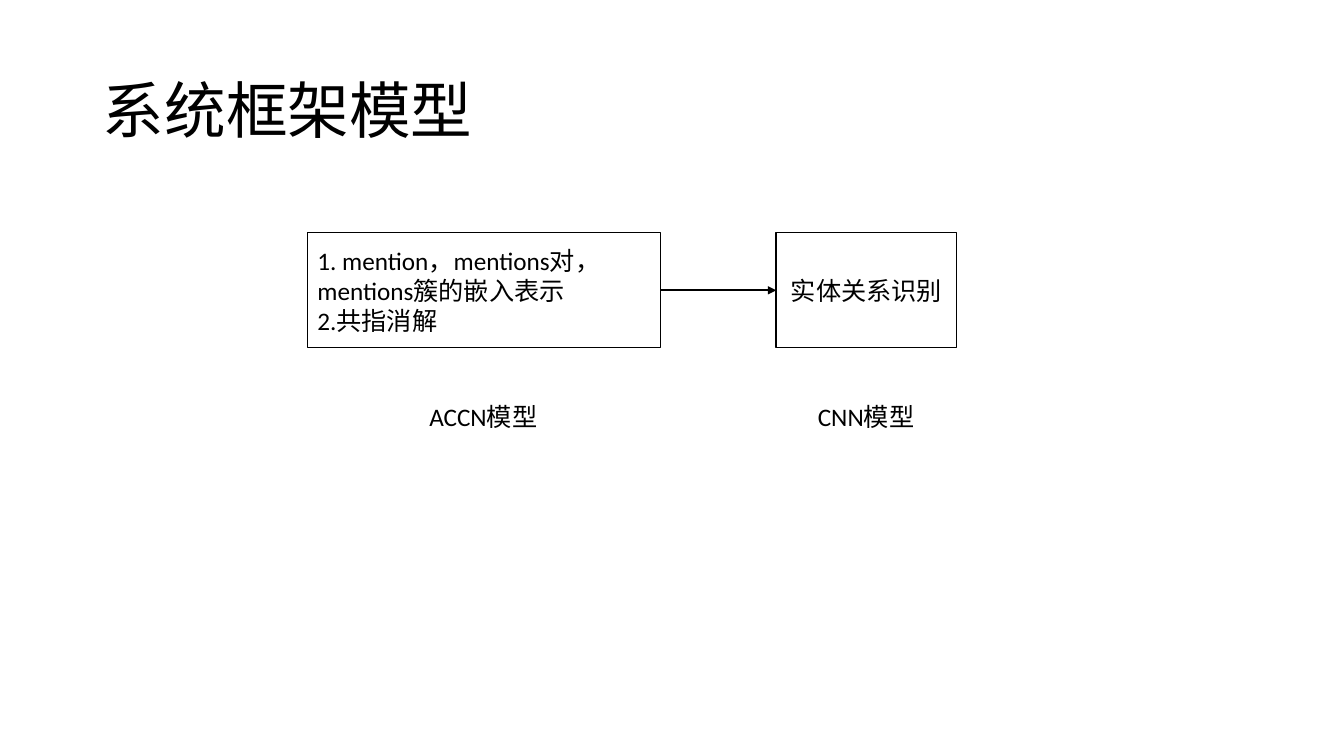
from pptx import Presentation
from pptx import util as u
from pptx.dml.color import RGBColor
from pptx.enum import shapes, text
from pptx.oxml.ns import qn
from lxml import etree

BLACK = RGBColor(0x00, 0x00, 0x00)
WHITE = RGBColor(0xFF, 0xFF, 0xFF)


class Sketch:
    """Style and current slide; lengths are percentages of the slide's size."""

    font = "Calibri"
    body_size = 18
    title_size = 44

    def __init__(self, deck):
        self.deck = deck
        self.page = deck.slides.add_slide(deck.slide_layouts[5])

    def across(self, share):
        return u.Emu(round(self.deck.slide_width * share / 100))

    def down(self, share):
        return u.Emu(round(self.deck.slide_height * share / 100))

    def frame(self, left, top, width, height):
        return self.across(left), self.down(top), self.across(width), self.down(height)

    def add_lines(self, frame, lines, size, align=text.PP_ALIGN.LEFT):
        for index, line in enumerate(lines):
            para = frame.add_paragraph() if index else frame.paragraphs[0]
            para.alignment = align
            span = para.add_run()
            span.text = line
            span.font.name = self.font
            span.font.size = u.Pt(size)
            span.font.color.rgb = BLACK

    def title(self, wording, *place):
        box = self.page.shapes.title
        box.left, box.top, box.width, box.height = self.frame(*place)
        box.text_frame.vertical_anchor = text.MSO_ANCHOR.MIDDLE
        self.add_lines(box.text_frame, [wording], self.title_size)
        box.text_frame.paragraphs[0].line_spacing = 0.9

    def box(self, lines, place, align=text.PP_ALIGN.LEFT):
        box = self.page.shapes.add_shape(
            shapes.MSO_SHAPE.RECTANGLE, *self.frame(*place))
        box.shadow.inherit = False
        box.fill.solid()
        box.fill.fore_color.rgb = WHITE
        box.line.color.rgb = BLACK
        box.line.width = u.Pt(1)
        box.text_frame.word_wrap = True
        box.text_frame.vertical_anchor = text.MSO_ANCHOR.MIDDLE
        self.add_lines(box.text_frame, lines, self.body_size, align)
        return box

    def label_under(self, box, wording, top, width, height):
        label = self.page.shapes.add_textbox(*self.frame(0, top, width, height))
        label.left = box.left + (box.width - label.width) // 2
        label.text_frame.word_wrap = True
        label.text_frame.auto_size = text.MSO_AUTO_SIZE.SHAPE_TO_FIT_TEXT
        self.add_lines(label.text_frame, [wording], self.body_size)

    def arrow(self, source, target):
        arrow = self.page.shapes.add_connector(
            shapes.MSO_CONNECTOR.STRAIGHT, 0, 0, 0, 0)
        arrow.begin_connect(source, 3)
        arrow.end_connect(target, 1)
        arrow.line.color.rgb = BLACK
        arrow.line.width = u.Pt(1.5)
        properties = arrow.element.spPr
        outline = properties.find(qn("a:ln"))
        etree.SubElement(outline, qn("a:tailEnd"), type="triangle")
        etree.SubElement(properties, qn("a:effectLst"))


def main():
    deck = Presentation()
    deck.slide_width, deck.slide_height = u.Inches(13.33), u.Inches(7.5)
    sketch = Sketch(deck)
    sketch.title("系统框架模型", 6.9, 5.33, 86.25, 19.33)

    # Two processing stages
    row_top, row_height = 30.8, 15.2
    mentions = sketch.box(
        ["1. mention，mentions对，mentions簇的嵌入表示", "2.共指消解"],
        (22.88, row_top, 26.25, row_height))
    relations = sketch.box(
        ["实体关系识别"], (57.75, row_top, 13.43, row_height),
        text.PP_ALIGN.CENTER)
    sketch.arrow(mentions, relations)

    # Model names centred below their stages
    for stage, name, width in ((mentions, "ACCN模型", 9.6),
                               (relations, "CNN模型", 8.7)):
        sketch.label_under(stage, name, 52.4, width, 5.33)

    deck.save("out.pptx")


if __name__ == "__main__":
    main()
